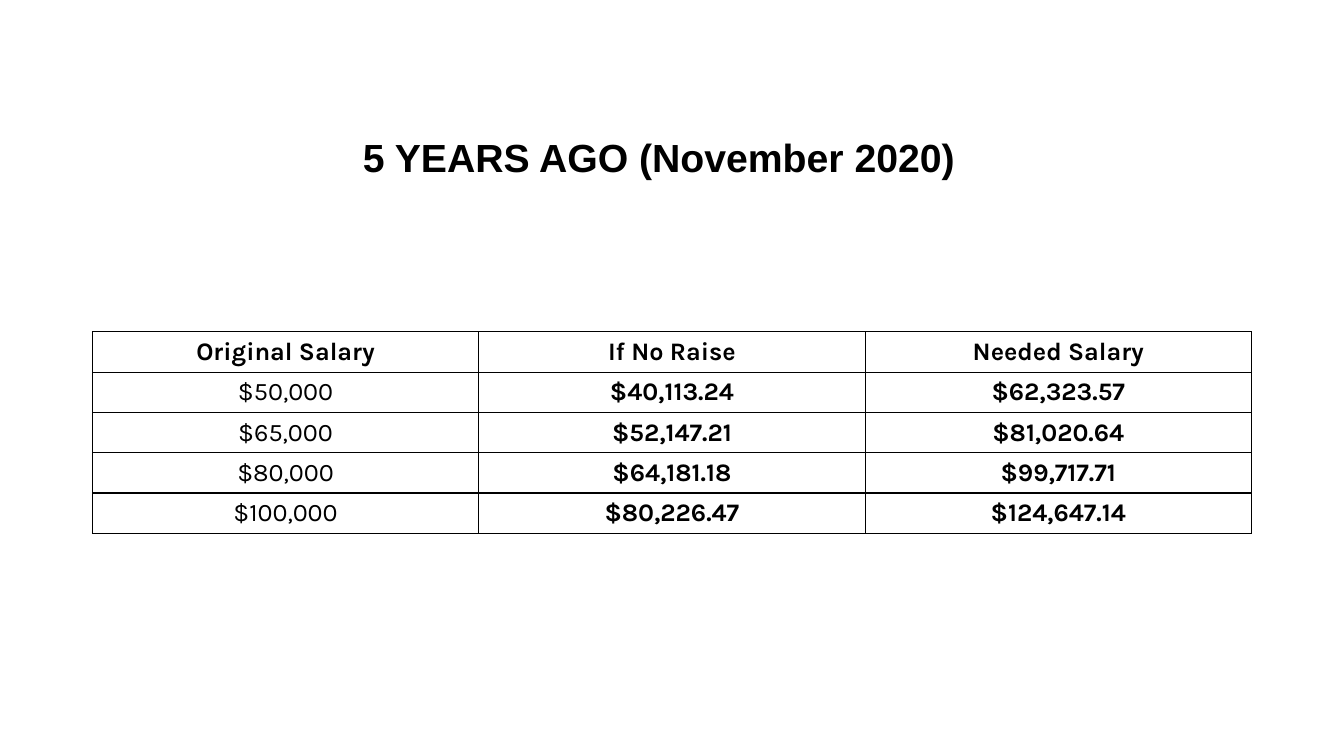
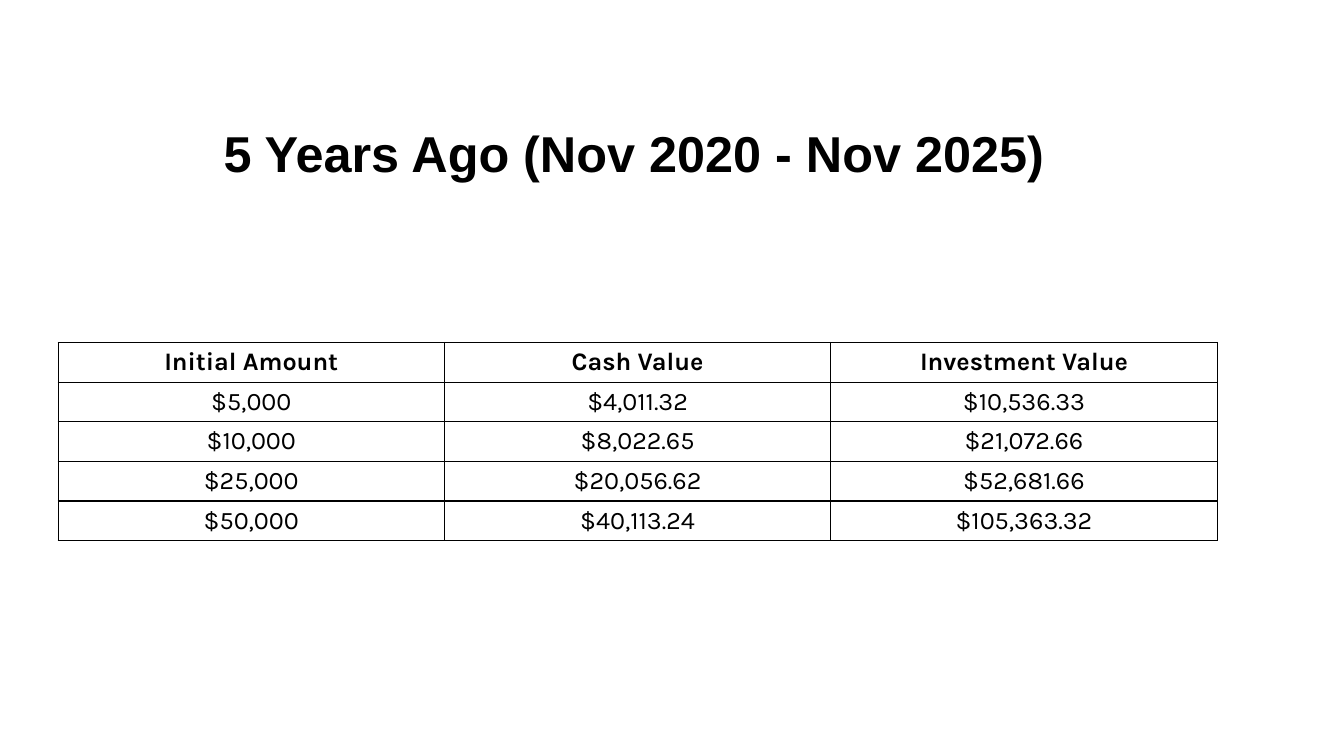
from lxml import etree
from pptx import Presentation
from pptx.dml.color import RGBColor
from pptx.enum import text
from pptx.oxml import ns
from pptx.util import Pt

INK = "000000"
TITLE_FONT, TABLE_FONT = "Arial", "Karla"
TABLE_WIDTH = 828


def color(value):
    return RGBColor.from_string(value)


def write(frame, content, font, size, bold=False, align=text.PP_ALIGN.LEFT):
    """Put one formatted, vertically centred paragraph in a text frame."""
    frame.text = content
    paragraph = frame.paragraphs[0]
    paragraph.alignment = align
    paragraph.font.name = font
    paragraph.font.size = Pt(size)
    paragraph.font.bold = bold
    paragraph.font.color.rgb = color(INK)


def add_title(slide, content, size, box):
    title = slide.shapes.title
    title.left, title.top, title.width, title.height = map(Pt, box)
    frame = title.text_frame
    write(frame, content, TITLE_FONT, size, bold=True)
    frame.vertical_anchor = text.MSO_ANCHOR.MIDDLE
    frame.auto_size = text.MSO_AUTO_SIZE.NONE
    frame.word_wrap = False


def set_borders(cell):
    properties = cell._tc.get_or_add_tcPr()
    for index, side in enumerate(("lnL", "lnR", "lnT", "lnB")):
        # Borders come before the fill
        line = etree.Element(ns.qn(f"a:{side}"), w=str(Pt(1)))
        fill = etree.SubElement(line, ns.qn("a:solidFill"))
        etree.SubElement(fill, ns.qn("a:srgbClr"), val=INK)
        properties.insert(index, line)


def add_table(slide, rows, left, top, row_height, bold_columns=()):
    frame = slide.shapes.add_table(
        len(rows), len(rows[0]), Pt(left), Pt(top),
        Pt(TABLE_WIDTH), Pt(row_height * len(rows)))
    table = frame.table
    table.horz_banding = False
    for row_index, values in enumerate(rows):
        table.rows[row_index].height = Pt(row_height)
        for column_index, value in enumerate(values):
            cell = table.cell(row_index, column_index)
            cell.margin_top = cell.margin_bottom = 0
            cell.vertical_anchor = text.MSO_ANCHOR.MIDDLE
            cell.fill.background()
            set_borders(cell)
            write(cell.text_frame, value, TABLE_FONT, 18,
                  bold=row_index == 0 or column_index in bold_columns,
                  align=text.PP_ALIGN.CENTER)


def add_slide(presentation, title, table):
    """Build one slide: a heading above a three-column table."""
    slide = presentation.slides.add_slide(presentation.slide_layouts[5])
    add_title(slide, **title)
    add_table(slide, **table)


def main():
    presentation = Presentation()
    presentation.slide_width, presentation.slide_height = Pt(960), Pt(540)

    # Salaries
    add_slide(
        presentation,
        dict(content="5 YEARS AGO (November 2020)", size=28,
             box=(252, 91.5, 458, 41)),
        dict(left=66, top=237, row_height=28.8, bold_columns=(1, 2), rows=[
            ("Original Salary", "If No Raise", "Needed Salary"),
            ("$50,000", "$40,113.24", "$62,323.57"),
            ("$65,000", "$52,147.21", "$81,020.64"),
            ("$80,000", "$64,181.18", "$99,717.71"),
            ("$100,000", "$80,226.47", "$124,647.14"),
        ]))

    # Cash and investments
    add_slide(
        presentation,
        dict(content="5 Years Ago (Nov 2020 - Nov 2025)", size=36,
             box=(152.5, 82, 606, 53)),
        dict(left=41.5, top=244.7, row_height=28.3, rows=[
            ("Initial Amount", "Cash Value", "Investment Value"),
            ("$5,000", "$4,011.32", "$10,536.33"),
            ("$10,000", "$8,022.65", "$21,072.66"),
            ("$25,000", "$20,056.62", "$52,681.66"),
            ("$50,000", "$40,113.24", "$105,363.32"),
        ]))

    presentation.save("out.pptx")


if __name__ == "__main__":
    main()
